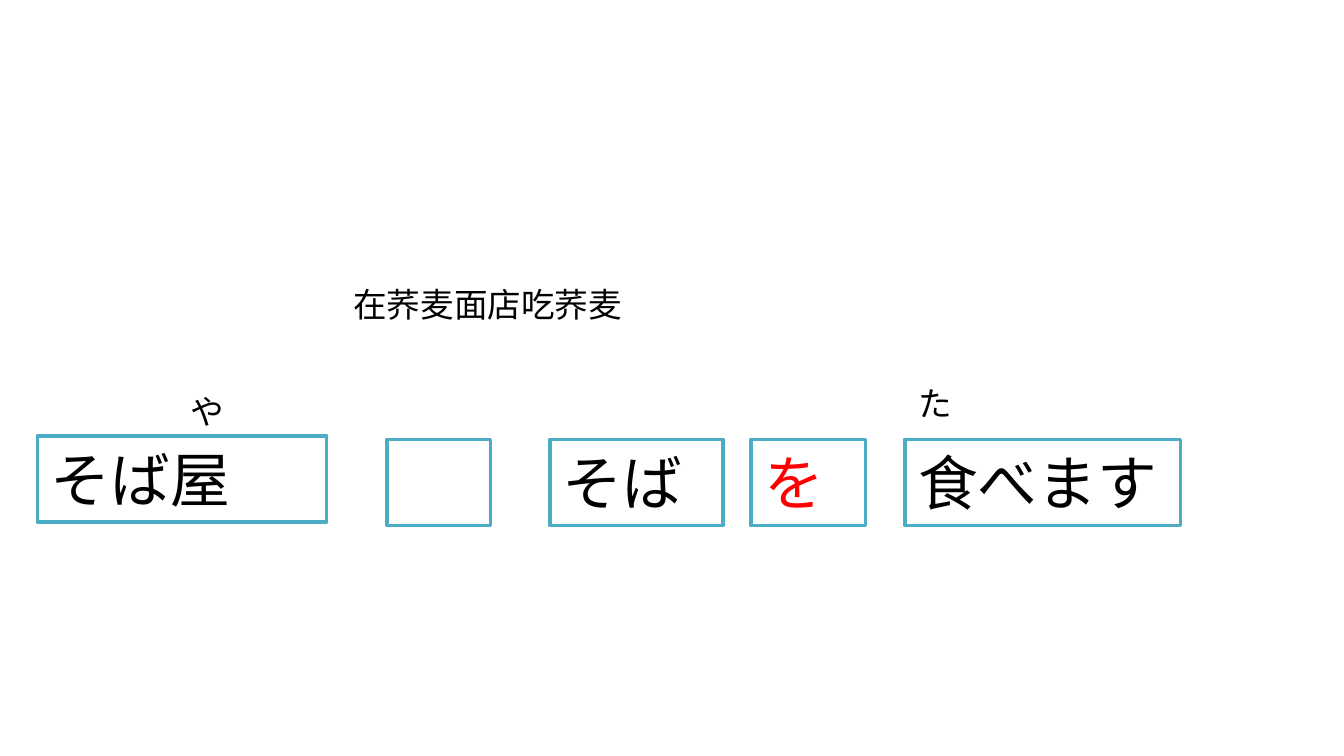
from lxml.etree import SubElement
from pptx import Presentation
from pptx.dml.color import RGBColor
from pptx.enum.shapes import MSO_SHAPE
from pptx.enum.text import MSO_ANCHOR, MSO_AUTO_SIZE, PP_ALIGN
from pptx.oxml.ns import qn
from pptx.util import Inches, Pt

COLORS = {"paper": "FFFFFF", "border": "4BACC6", "text": "000000", "particle": "FF0000"}
CJK_FONT = "Noto Sans CJK SC"

# Widescreen slide, 16:9
presentation = Presentation()
presentation.slide_width = Inches(10)
presentation.slide_height = Inches(10 * 9 / 16)
slide = presentation.slides.add_slide(presentation.slide_layouts[6])

# Grid: 100 columns across the slide, rows of the same size
CELL = presentation.slide_width / 100


def place(left, top, width, height):
    return [round(cells * CELL) for cells in (left, top, width, height)]


def write(shape, text, size, font_name, color):
    frame = shape.text_frame
    frame.word_wrap = True
    frame.auto_size = MSO_AUTO_SIZE.SHAPE_TO_FIT_TEXT
    frame.vertical_anchor = MSO_ANCHOR.TOP
    paragraph = frame.paragraphs[0]
    paragraph.text = text
    paragraph.alignment = PP_ALIGN.LEFT
    font = paragraph.font
    font.size = Pt(size)
    font.color.rgb = RGBColor.from_string(COLORS[color])
    font.name = font_name
    # East Asian glyphs take their typeface from a separate element
    properties = paragraph._p.pPr.find(qn("a:defRPr"))
    SubElement(properties, qn("a:ea")).set("typeface", font_name)


# Translation above the sentence
translation = slide.shapes.add_textbox(*place(25.3, 20.63, 28.5, 4))
write(translation, "在荞麦面店吃荞麦", 18, CJK_FONT, "text")

# Sentence boxes: left, top, width, text, colour; the empty one awaits a particle
sentence = [
    (2.8, 32.42, 21.5, "そば屋", "text"),
    (28.8, 32.7, 7.7, "", "text"),
    (40.9, 32.7, 12.9, "そば", "text"),
    (55.9, 32.7, 8.5, "を", "particle"),
    (67.33, 32.7, 20.5, "食べます", "text"),
]
for left, top, width, text, color in sentence:
    box = slide.shapes.add_shape(MSO_SHAPE.RECTANGLE, *place(left, top, width, 6.4))
    box.shadow.inherit = False
    box.fill.solid()
    box.fill.fore_color.rgb = RGBColor.from_string(COLORS["paper"])
    box.line.color.rgb = RGBColor.from_string(COLORS["border"])
    box.line.width = Pt(2)
    if text:
        write(box, text, 32, CJK_FONT, color)

# Readings over the kanji
for left, top, width, text in [(67.33, 28, 6, "た"), (13.2, 28.6, 6.2, "や")]:
    reading = slide.shapes.add_textbox(*place(left, top, width, 4))
    write(reading, text, 18, "Calibri", "text")

presentation.save("out.pptx")
